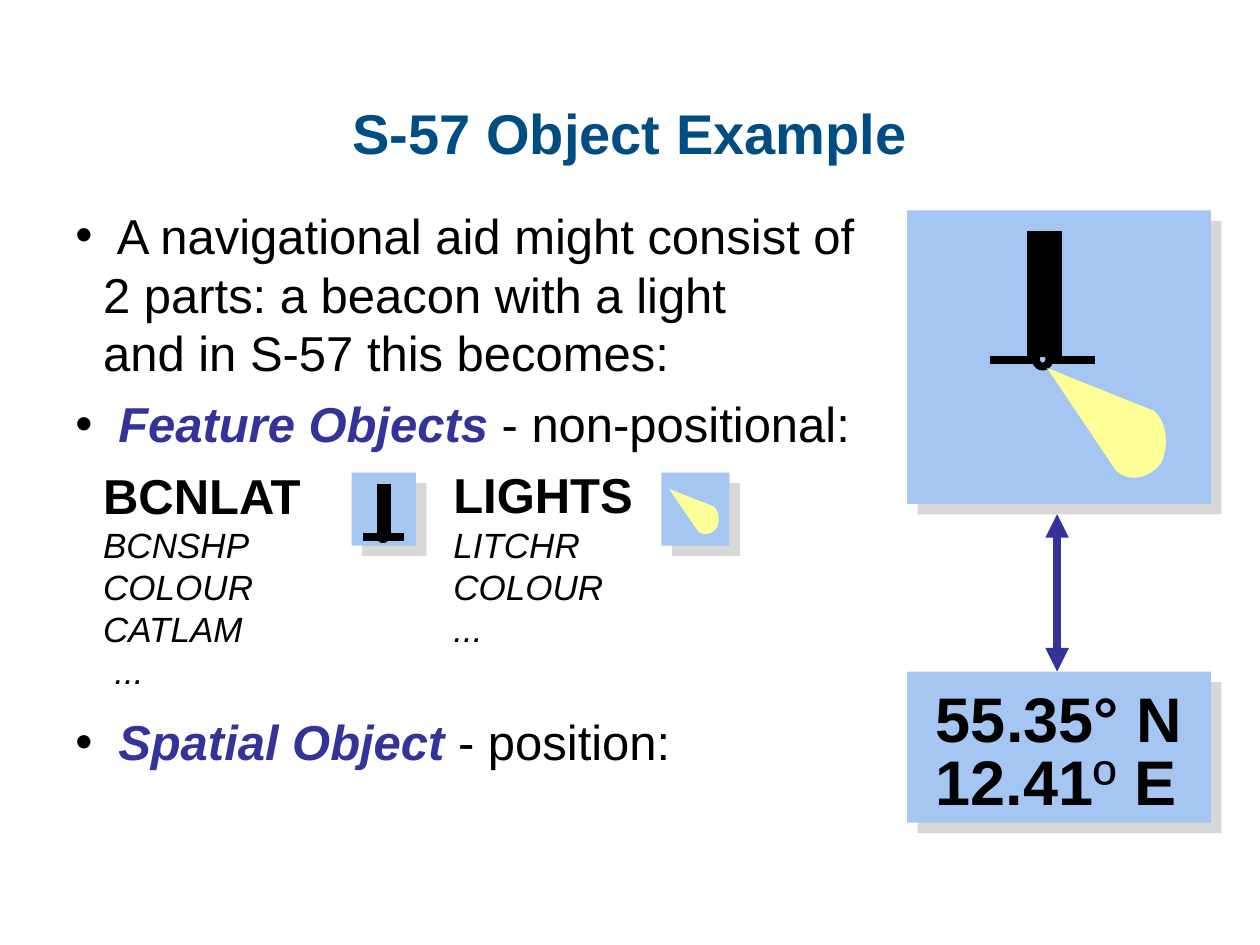
import pptx
import pptx.dml.color
import pptx.enum.shapes
import pptx.enum.text
import pptx.oxml
import pptx.oxml.ns
import pptx.util

Inches = pptx.util.Inches
Pt = pptx.util.Pt
COLORS = {"title": "004D83", "text": "000000", "accent": "333399",
          "panel": "A5C5F3", "shadow": "B2B2B2", "flame": "FFFF99"}


class SlideBuilder:
    """Hold the style and the slide, and draw each kind of element."""

    font_name = "Arial"
    line_width = 4.5

    def __init__(self, slide):
        self.slide = slide
        self.shapes = slide.shapes

    def color(self, name):
        return pptx.dml.color.RGBColor.from_string(COLORS[name])

    def append_xml(self, parent, tag, attributes="", content=""):
        namespace = pptx.oxml.ns.nsdecls("a")
        parent.append(pptx.oxml.parse_xml(
            f"<a:{tag} {namespace} {attributes}>{content}</a:{tag}>"))

    def text_box(self, left, top, width, height, anchor="TOP"):
        box = self.shapes.add_textbox(Inches(left), Inches(top), Inches(width), Inches(height))
        frame = box.text_frame
        frame.word_wrap = True
        frame.vertical_anchor = pptx.enum.text.MSO_ANCHOR[anchor]
        return frame

    def paragraph(self, frame, runs, size, color="text", bold=False, italic=False,
                  before=0, margin=0, bullet=False, align="LEFT"):
        first = frame.paragraphs[0]
        paragraph = frame.add_paragraph() if first.runs else first
        properties = paragraph._p.get_or_add_pPr()
        properties.set("marL", str(Inches(margin)))
        properties.set("indent", str(Inches(-margin if bullet else 0)))
        paragraph.alignment = pptx.enum.text.PP_ALIGN[align]
        paragraph.space_before = Pt(before)
        if bullet:
            self.append_xml(properties, "buClr", content=f'<a:srgbClr val="{COLORS["text"]}"/>')
            self.append_xml(properties, "buFont", f'typeface="{self.font_name}"')
            self.append_xml(properties, "buChar", 'char="•"')
        font = paragraph.font
        font.name, font.size, font.bold, font.italic = self.font_name, Pt(size), bold, italic
        font.color.rgb = self.color(color)
        for text, style in runs:
            run = paragraph.add_run()
            run.text = text
            for name, value in style.items():
                if name == "color":
                    run.font.color.rgb = self.color(value)
                else:
                    setattr(run.font, name, value)

    def feature(self, frame, name, attributes, margin=0, before=0):
        self.paragraph(frame, [(name, {})], 28, bold=True, margin=margin, before=before)
        for attribute in attributes:
            self.paragraph(frame, [(attribute, {})], 20, italic=True, margin=margin)

    def panel(self, left, top, width, height):
        shape = self.shapes.add_shape(pptx.enum.shapes.MSO_SHAPE.RECTANGLE, Inches(left),
                                      Inches(top), Inches(width), Inches(height))
        self.fill(shape, "panel")
        effects = shape._element.spPr.find(pptx.oxml.ns.qn("a:effectLst"))
        self.append_xml(effects, "outerShdw", f'blurRad="0" dist="{Pt(8.5)}" dir="2700000"',
                        f'<a:srgbClr val="{COLORS["shadow"]}"><a:alpha val="50000"/></a:srgbClr>')

    def fill(self, shape, color):
        shape.shadow.inherit = False
        shape.fill.solid()
        shape.fill.fore_color.rgb = self.color(color)
        shape.line.fill.background()

    def ring(self, left, top, width, height):
        shape = self.shapes.add_shape(pptx.enum.shapes.MSO_SHAPE.OVAL, Inches(left),
                                      Inches(top), Inches(width), Inches(height))
        shape.shadow.inherit = False
        shape.fill.background()
        shape.line.color.rgb = self.color("text")
        shape.line.width = Pt(self.line_width)

    def line(self, start, end, color="text", arrows=False):
        connector = self.shapes.add_connector(
            pptx.enum.shapes.MSO_CONNECTOR.STRAIGHT, *map(Inches, start + end))
        connector.line.color.rgb = self.color(color)
        connector.line.width = Pt(self.line_width)
        if arrows:
            for tag in ("headEnd", "tailEnd"):
                self.append_xml(connector.line._get_or_add_ln(), tag, 'type="triangle"')
        self.append_xml(connector._element.spPr, "effectLst")

    def polygon(self, points, color):
        start, *others = [(Inches(x), Inches(y)) for x, y in points]
        builder = self.shapes.build_freeform(*start)
        builder.add_line_segments(others, close=True)
        self.fill(builder.convert_to_shape(), color)

    def mast(self, left, top, width, height):
        right, bottom = left + width, top + height
        self.polygon([(left, top), (right, top), (right, bottom), (left, bottom)], "text")

    def flame(self, left, top, width, height):
        curves = [((0.56, 0.86), (0.71, 0.99), (0.87, 0.87), (0.92, 0.8)),
                  ((0.92, 0.8), (0.97, 0.72), (1, 0.48), (0.87, 0.36))]
        points = [(0, 0)]
        for curve in curves:
            for step in range(13):
                t = step / 12
                weights = ((1 - t) ** 3, 3 * t * (1 - t) ** 2, 3 * t * t * (1 - t), t ** 3)
                points.append(tuple(sum(weight * point[axis] for weight, point
                                        in zip(weights, curve)) for axis in (0, 1)))
        self.polygon([(left + x * width, top + y * height) for x, y in points], "flame")


def main():
    presentation = pptx.Presentation()
    presentation.slide_width, presentation.slide_height = Inches(10), Inches(7.5)
    builder = SlideBuilder(presentation.slides.add_slide(presentation.slide_layouts[6]))
    emphasis = {"color": "accent", "bold": True, "italic": True}

    title = builder.text_box(0.5, 0.42, 9, 1.25, "MIDDLE")
    builder.paragraph(title, [("S-57 Object Example", {})], 32, "title", bold=True, align="CENTER")

    builder.panel(7.2, 5.33, 2.41, 1.2)
    latitude = builder.text_box(7.33, 5.34, 2.22, 0.7)
    builder.paragraph(latitude, [("55.35° N", {})], 36, bold=True)
    longitude = builder.text_box(7.33, 5.84, 2.2, 0.7)
    builder.paragraph(longitude, [("12.41", {}), ("º", {"bold": False}), (" E", {})], 36, bold=True)

    body = builder.text_box(0.5, 1.58, 6.89, 3.96)
    builder.paragraph(body, [("A navigational aid might consist of", {})], 28,
                      margin=0.33, bullet=True)
    for text in ("2 parts: a beacon with a light", "and in S-57 this becomes:"):
        builder.paragraph(body, [(text, {})], 28, margin=0.22)
    builder.paragraph(body, [("Feature Objects", emphasis), (" - non-positional:", {})], 28,
                      before=7, margin=0.34, bullet=True)
    builder.feature(body, "BCNLAT", ("BCNSHP", "COLOUR", "CATLAM"), margin=0.22, before=7)
    builder.paragraph(body, [("...", {})], 20, italic=True, margin=0.31)

    lights = builder.text_box(3.5, 3.64, 1.7, 1.57)
    builder.feature(lights, "LIGHTS", ("LITCHR", "COLOUR", "..."))

    spatial = builder.text_box(0.5, 5.6, 5.62, 0.6)
    builder.paragraph(spatial, [("Spatial Object", emphasis), (" - position:", {})], 28,
                      margin=0.34, bullet=True)

    builder.panel(2.79, 3.75, 0.51, 0.58)
    builder.ring(3.02, 4.23, 0.04, 0.05)
    builder.line((3.07, 4.26), (3.21, 4.26))
    builder.line((2.88, 4.26), (3.02, 4.26))
    builder.mast(2.99, 3.84, 0.11, 0.41)

    builder.panel(7.2, 1.67, 2.41, 2.33)
    builder.ring(8.22, 2.79, 0.11, 0.12)
    builder.line((8.33, 2.86), (8.69, 2.86))
    builder.line((7.86, 2.86), (8.22, 2.86))
    builder.mast(8.15, 1.83, 0.28, 1)
    builder.flame(8.31, 2.92, 0.98, 0.95)

    builder.panel(5.25, 3.75, 0.54, 0.58)
    builder.flame(5.31, 3.88, 0.41, 0.39)
    builder.line((8.39, 4.08), (8.39, 5.33), "accent", arrows=True)

    presentation.save("out.pptx")


if __name__ == "__main__":
    main()
